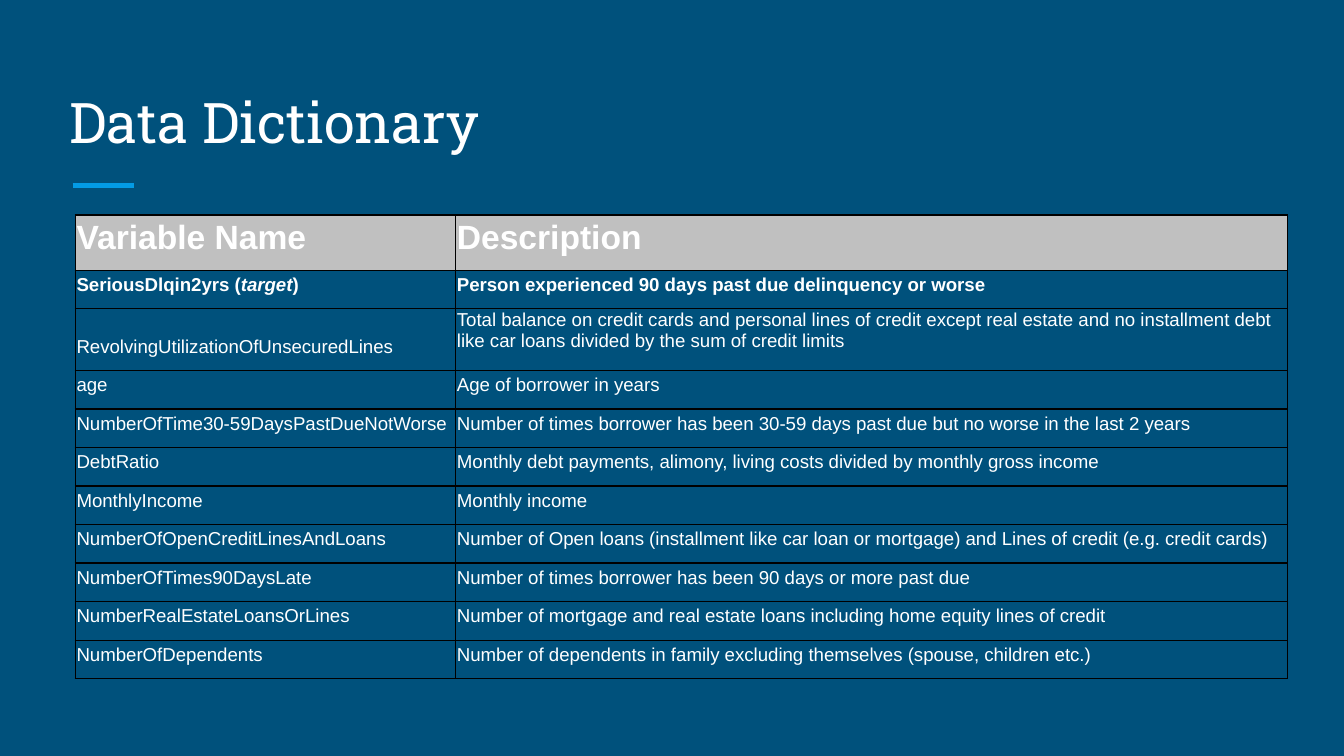
from typing import NamedTuple

from lxml import etree
from pptx import Presentation
from pptx import util as u
from pptx.dml.color import RGBColor
from pptx.enum import shapes, text
from pptx.oxml import ns

WIDE = 10
HIGH = WIDE * 9 / 16
HUES = {"back": "00517C", "rule": "039BE5", "head": "C0C0C0",
        "text": "FFFFFF", "edge": "000000"}
COLS = (2.83, 6.19)
ROW = HIGH * 0.051
FRAME = 3.28


class Entry(NamedTuple):
    name: str  # asterisks enclose italic text
    note: str
    high: float = ROW
    size: int = 10
    bold: bool = False
    fill: str = ""
    top: bool = False  # description sits at the top of its cell


ENTRIES = [
    Entry("Variable Name", "Description", 0.35, 18, True, "head"),
    Entry("SeriousDlqin2yrs (*target*)",
          "Person experienced 90 days past due delinquency or worse", bold=True),
    Entry("RevolvingUtilizationOfUnsecuredLines",
          "Total balance on credit cards and personal lines of credit except real estate "
          "and no installment debt like car loans divided by the sum of credit limits",
          0.46, top=True),
    Entry("age", "Age of borrower in years"),
    Entry("NumberOfTime30-59DaysPastDueNotWorse",
          "Number of times borrower has been 30-59 days past due "
          "but no worse in the last 2 years"),
    Entry("DebtRatio",
          "Monthly debt payments, alimony, living costs divided by monthly gross income"),
    Entry("MonthlyIncome", "Monthly income"),
    Entry("NumberOfOpenCreditLinesAndLoans",
          "Number of Open loans (installment like car loan or mortgage) "
          "and Lines of credit (e.g. credit cards)"),
    Entry("NumberOfTimes90DaysLate",
          "Number of times borrower has been 90 days or more past due"),
    Entry("NumberRealEstateLoansOrLines",
          "Number of mortgage and real estate loans including home equity lines of credit"),
    Entry("NumberOfDependents",
          "Number of dependents in family excluding themselves (spouse, children etc.)"),
]


def hue(key: str) -> RGBColor:
    return RGBColor.from_string(HUES[key])


def style(run, face: str, size: int, bold: bool = False, slant: bool = False) -> None:
    font = run.font
    font.name, font.size = face, u.Pt(size)
    font.bold, font.italic = bold, slant
    font.color.rgb = hue("text")


def edge(cell) -> None:
    """Draw a thin line on all four sides of a cell."""
    props = cell._tc.get_or_add_tcPr()
    for side in ("lnL", "lnR", "lnT", "lnB"):
        line = etree.SubElement(props, ns.qn(f"a:{side}"), w=str(u.Pt(0.75)))
        fill = etree.SubElement(line, ns.qn("a:solidFill"))
        etree.SubElement(fill, ns.qn("a:srgbClr"), val=HUES["edge"])


def write(cell, words: str, entry: Entry, top: bool) -> None:
    edge(cell)
    if entry.fill:
        cell.fill.solid()
        cell.fill.fore_color.rgb = hue(entry.fill)
    else:
        cell.fill.background()
    cell.margin_left = cell.margin_right = cell.margin_top = u.Inches(0.01)
    cell.margin_bottom = u.Inches(0.1)
    cell.vertical_anchor = text.MSO_ANCHOR.TOP if top else text.MSO_ANCHOR.BOTTOM
    para = cell.text_frame.paragraphs[0]
    for i, part in enumerate(words.split("*")):
        run = para.add_run()
        run.text = part
        style(run, "Arial", entry.size, entry.bold, i % 2 == 1)


def title(slide, words: str) -> None:
    box = slide.shapes.add_textbox(*map(u.Inches, (0.42, 0.5, 9.15, 0.75)))
    frame = box.text_frame
    frame.text = words
    frame.word_wrap = True
    frame.vertical_anchor = text.MSO_ANCHOR.BOTTOM
    frame.margin_left = frame.margin_right = u.Inches(0.1)
    frame.margin_top = frame.margin_bottom = u.Inches(0.1)
    style(frame.paragraphs[0].runs[0], "Roboto Slab", 30)


def rule(slide) -> None:
    line = slide.shapes.add_connector(
        shapes.MSO_CONNECTOR.STRAIGHT, *map(u.Inches, (0.54, 1.38, 1, 1.38)))
    line.line.color.rgb = hue("rule")
    line.line.width = u.Pt(3)
    etree.SubElement(line._element.spPr, ns.qn("a:effectLst"))


def grid(slide, entries: list[Entry]) -> None:
    shape = slide.shapes.add_table(
        len(entries), len(COLS), *map(u.Inches, (0.56, 1.6, FRAME, FRAME)))
    table = shape.table
    table.first_row = table.horz_banding = False
    for col, wide in zip(table.columns, COLS):
        col.width = u.Inches(wide)
    for row, entry in zip(table.rows, entries):
        row.height = u.Inches(entry.high)
        write(row.cells[0], entry.name, entry, False)
        write(row.cells[1], entry.note, entry, entry.top)
    # Rows and columns resize the frame, so set it last
    shape.width = shape.height = u.Inches(FRAME)


def main() -> None:
    deck = Presentation()
    deck.slide_width, deck.slide_height = u.Inches(WIDE), u.Inches(HIGH)
    slide = deck.slides.add_slide(deck.slide_layouts[6])
    slide.background.fill.solid()
    slide.background.fill.fore_color.rgb = hue("back")
    # Heading with its accent line
    rule(slide)
    title(slide, "Data Dictionary")
    # Variables and what they mean
    grid(slide, ENTRIES)
    deck.save("out.pptx")


if __name__ == "__main__":
    main()
